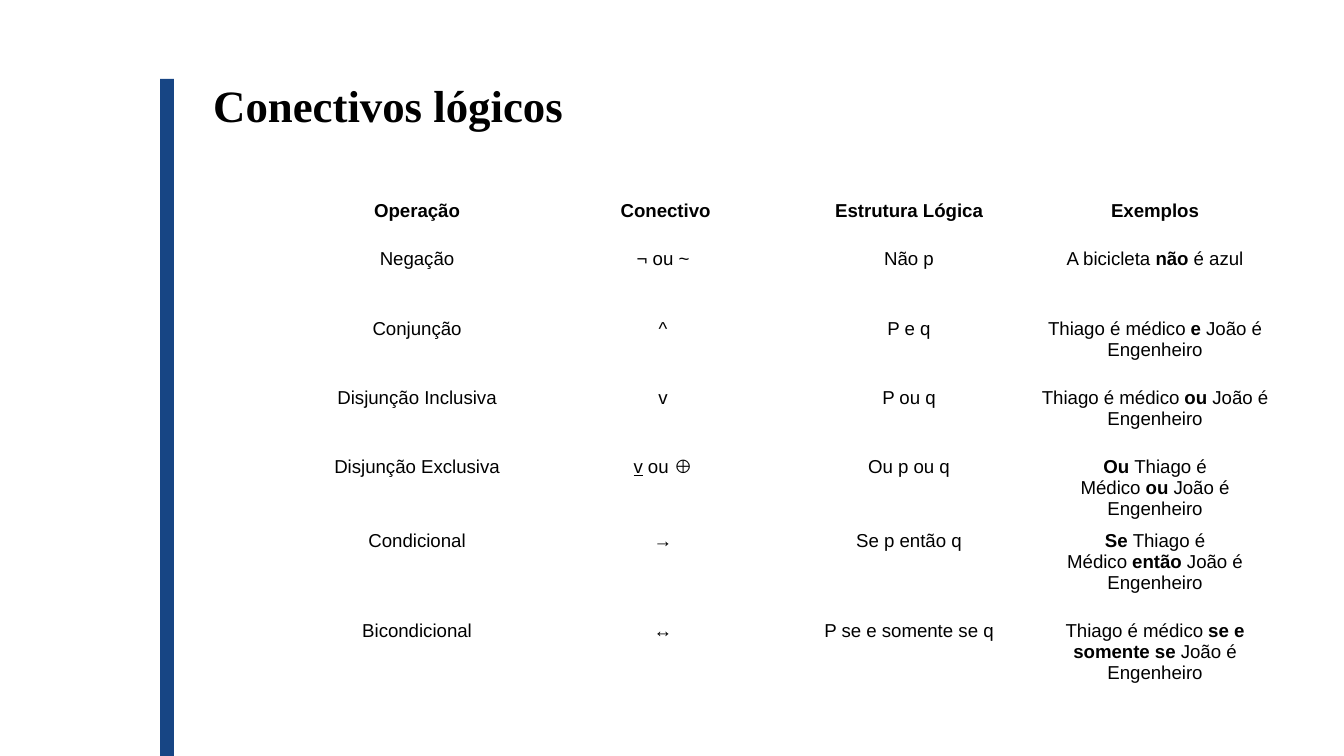
from pptx import Presentation
from pptx.dml.color import RGBColor
from pptx.enum.shapes import MSO_SHAPE
from pptx.enum.text import PP_ALIGN
from pptx.util import Pt

PX = 914400 / 134.4
RECTANGLE = MSO_SHAPE.RECTANGLE
CENTER = PP_ALIGN.CENTER
COLORS = {"bar": "174584", "text": "000000", "cell": "FFFFFF"}
SANS, SERIF = "Arial", "Times New Roman"
NO_BREAK_SPACE = chr(160)

COLUMN_WIDTH = 246
ROW_HEIGHTS = [48, 70, 69, 69, 74, 90, 110]
CELL_MARGIN = 3

# Markup: * switches bold, _ is a no-break space
ROWS = [
    ["*Operação", "*_Conectivo", "*Estrutura Lógica", "*Exemplos"],
    ["Negação", "¬ ou ~", "Não p", "A bicicleta_*não_*é azul"],
    ["Conjunção", "^", "P e q", "Thiago é médico_*e_*João é Engenheiro"],
    ["Disjunção Inclusiva", "v", "P ou q",
     "Thiago é médico_*ou_*João é Engenheiro"],
    ["Disjunção Exclusiva", "", "Ou p ou q",
     "*Ou*_Thiago é Médico_*ou*_João é Engenheiro"],
    ["Condicional", "→", "Se p então q",
     "*Se*_Thiago é Médico_*então*_João é Engenheiro"],
    ["Bicondicional", "↔", "P se e somente se q",
     "Thiago é médico_*se e somente se*_João é Engenheiro"],
]
EXCLUSIVE_CELL = (4, 1)


def px(length):
    return round(length * PX)


def color(name):
    return RGBColor.from_string(COLORS[name])


def add_span(para, text, size, font=SANS, bold=False, underline=False):
    span = para.add_run()
    span.text = text
    span.font.name = font
    span.font.size = Pt(size)
    span.font.bold = bold
    span.font.underline = underline
    span.font.color.rgb = color("text")


def add_marked_text(para, text):
    for index, part in enumerate(text.split("*")):
        if part:
            add_span(para, part.replace("_", NO_BREAK_SPACE), 10,
                     bold=index % 2 == 1)


def add_bar(page, left, top, width, height):
    bar = page.shapes.add_shape(RECTANGLE, px(left), px(top),
                                px(width), px(height))
    bar.shadow.inherit = False
    bar.fill.solid()
    bar.fill.fore_color.rgb = color("bar")
    bar.line.fill.background()


def add_title(page, text, left, top, width, height):
    box = page.shapes.add_textbox(px(left), px(top), px(width), px(height))
    box.text_frame.word_wrap = True
    add_span(box.text_frame.paragraphs[0], text, 24, SERIF, bold=True)


def style_cell(cell):
    cell.fill.solid()
    cell.fill.fore_color.rgb = color("cell")
    cell.margin_left = cell.margin_right = px(CELL_MARGIN)
    cell.margin_top = cell.margin_bottom = px(CELL_MARGIN)
    para = cell.text_frame.paragraphs[0]
    para.alignment = CENTER
    return para


def add_connective_table(page, left, top):
    column_count = len(ROWS[0])
    table = page.shapes.add_table(
        len(ROWS), column_count, px(left), px(top),
        px(COLUMN_WIDTH * column_count), px(sum(ROW_HEIGHTS))).table
    for column in table.columns:
        column.width = px(COLUMN_WIDTH)
    for row, height in zip(table.rows, ROW_HEIGHTS):
        row.height = px(height)
    for row_index, texts in enumerate(ROWS):
        for column_index, text in enumerate(texts):
            para = style_cell(table.cell(row_index, column_index))
            if (row_index, column_index) == EXCLUSIVE_CELL:
                add_span(para, "v", 10, underline=True)
                add_span(para, " ou ", 10)
                add_span(para, "⊕", 10, SERIF)
            else:
                add_marked_text(para, text)


def main():
    deck = Presentation()
    deck.slide_width, deck.slide_height = px(1344), px(756)
    page = deck.slides.add_slide(deck.slide_layouts[6])

    # Side bar and heading
    add_bar(page, 160, 79, 14, 677)
    add_title(page, "Conectivos lógicos", 200, 71, 1168, 67)

    # Table of logical connectives
    add_connective_table(page, 294, 198)

    deck.save("out.pptx")


if __name__ == "__main__":
    main()
